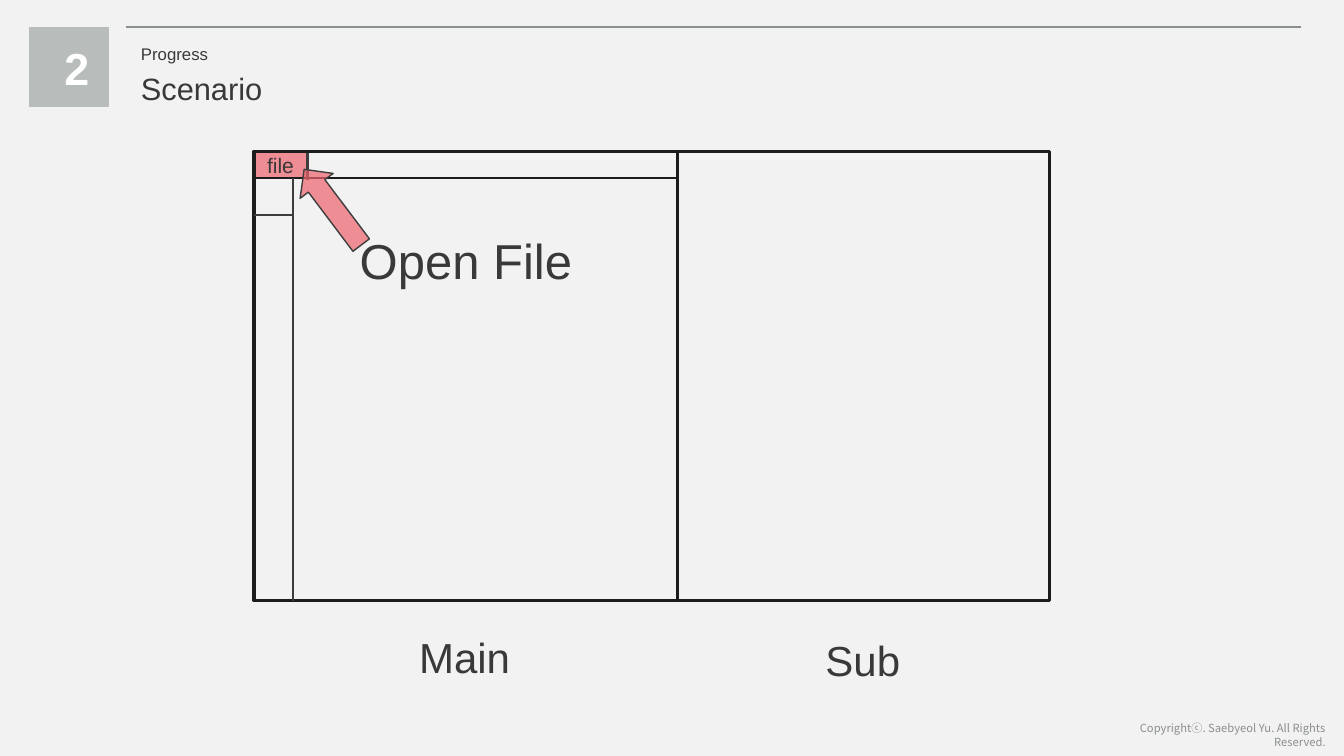
from dataclasses import dataclass

from lxml import etree
from pptx import Presentation
from pptx.dml.color import RGBColor
from pptx.enum.shapes import MSO_CONNECTOR, MSO_SHAPE
from pptx.enum.text import MSO_AUTO_SIZE, PP_ALIGN
from pptx.oxml.ns import qn
from pptx.util import Inches, Pt

RECT, ARROW = MSO_SHAPE.RECTANGLE, MSO_SHAPE.RIGHT_ARROW
STRAIGHT = MSO_CONNECTOR.STRAIGHT
LEFT, CENTER, RIGHT = PP_ALIGN.LEFT, PP_ALIGN.CENTER, PP_ALIGN.RIGHT
GROW = MSO_AUTO_SIZE.SHAPE_TO_FIT_TEXT
SLIDE_W, SLIDE_H = Inches(13.333), Inches(7.5)


@dataclass(frozen=True)
class Theme:
    background: str = "F2F2F2"
    badge: str = "B8BCBB"
    muted: str = "898F8D"
    frame: str = "1D1C1C"
    detail: str = "3D3D3D"
    accent: str = "ED636D"
    ink: str = "3A3838"
    white: str = "FFFFFF"
    font: str = "Arial"
    footer_font: str = "Noto Sans CJK KR"
    accent_opacity: int = 70
    footer: int = 8
    small: int = 12
    menu: int = 15
    title: int = 22
    caption: int = 30
    number: int = 32
    callout: int = 35


THEME = Theme()


# Positions are percentages of the slide's width and height
def col(share):
    return round(SLIDE_W * share / 100)


def row(share):
    return round(SLIDE_H * share / 100)


def rgb(color):
    return RGBColor.from_string(color)


def add_box(s, x, y, w, h, kind=RECT, fill=None, opacity=100, line=None, width=1):
    sp = s.shapes.add_shape(kind, col(x), row(y), col(w), row(h))
    sp.shadow.inherit = False
    if fill:
        sp.fill.solid()
        sp.fill.fore_color.rgb = rgb(fill)
        if opacity < 100:
            color = sp.fill._xPr.find(qn("a:solidFill"))[0]
            etree.SubElement(color, qn("a:alpha")).set("val", str(opacity * 1000))
    else:
        sp.fill.background()
    if line:
        sp.line.color.rgb = rgb(line)
        sp.line.width = Pt(width)
    else:
        sp.line.fill.background()
    return sp


def add_line(s, x1, y1, x2, y2, color):
    line = s.shapes.add_connector(STRAIGHT, col(x1), row(y1), col(x2), row(y2))
    line.line.color.rgb = rgb(color)
    line.line.width = Pt(1.5)
    etree.SubElement(line._element.spPr, qn("a:effectLst"))


def add_text(s, text, x, y, w, h, size, color=THEME.ink, font=THEME.font,
             align=LEFT, bold=False, wrap=False):
    tf = s.shapes.add_textbox(col(x), row(y), col(w), row(h)).text_frame
    tf.text = text
    tf.word_wrap = wrap
    tf.auto_size = GROW
    p = tf.paragraphs[0]
    p.alignment = align
    r = p.runs[0]
    r.font.name, r.font.size, r.font.bold = font, Pt(size), bold
    r.font.color.rgb = rgb(color)


def add_header(s):
    add_line(s, 9.38, 3.6, 96.83, 3.6, THEME.muted)
    add_box(s, 2.18, 3.6, 5.93, 10.53, fill=THEME.badge)
    add_text(s, "2", 4.05, 4.67, 2.1, 8.53, THEME.number, THEME.white,
             align=CENTER, bold=True, wrap=True)
    add_text(s, "Progress", 9.75, 5.07, 6.53, 4, THEME.small)
    add_text(s, "Scenario", 9.75, 8.53, 10.65, 6.27, THEME.title)


def add_windows(s):
    left, divider, right = 18.9, 50.4, 78.08
    top, menu, bottom = 20, 23.6, 79.47
    file_right, tools_right, tool_bottom = 22.88, 21.83, 28.4

    # Highlighted menu item behind the two window frames
    add_box(s, left, top, file_right - left, menu - top,
            fill=THEME.accent, opacity=THEME.accent_opacity)
    for x1, x2 in ((left, divider), (divider, right)):
        add_box(s, x1, top, x2 - x1, bottom - top, line=THEME.frame, width=2.25)

    # Menu bar and tool bar
    add_line(s, left, menu, divider, menu, THEME.frame)
    add_line(s, tools_right, menu, tools_right, bottom, THEME.detail)
    add_line(s, file_right, top + 0.27, file_right, menu + 0.27, THEME.detail)
    add_line(s, left, tool_bottom, tools_right, tool_bottom, THEME.detail)
    add_text(s, "file", 19.13, 19.47, 3.53, 4.67, THEME.menu)

    # Window captions
    add_text(s, "Main", 30.45, 82.93, 8.48, 8.13, THEME.caption, wrap=True)
    add_text(s, "Sub", 60.68, 83.33, 7.13, 8.13, THEME.caption, wrap=True)


def add_callout(s):
    arrow = add_box(s, 21.23, 24.67, 7.05, 5.47, ARROW, THEME.accent,
                    THEME.accent_opacity, THEME.detail)
    arrow.rotation = 233
    add_text(s, "Open File", 26.03, 29.87, 17.48, 9.2, THEME.callout)


def add_footer(s):
    add_text(s, "Copyrightⓒ. Saebyeol Yu. All Rights Reserved.", 81, 94.8, 18.38, 3.2,
             THEME.footer, THEME.muted, THEME.footer_font, RIGHT, wrap=True)


def main():
    prs = Presentation()
    prs.slide_width, prs.slide_height = SLIDE_W, SLIDE_H
    s = prs.slides.add_slide(prs.slide_layouts[6])
    s.background.fill.solid()
    s.background.fill.fore_color.rgb = rgb(THEME.background)
    add_footer(s)
    add_windows(s)
    add_callout(s)
    add_header(s)
    prs.save("out.pptx")


if __name__ == "__main__":
    main()
